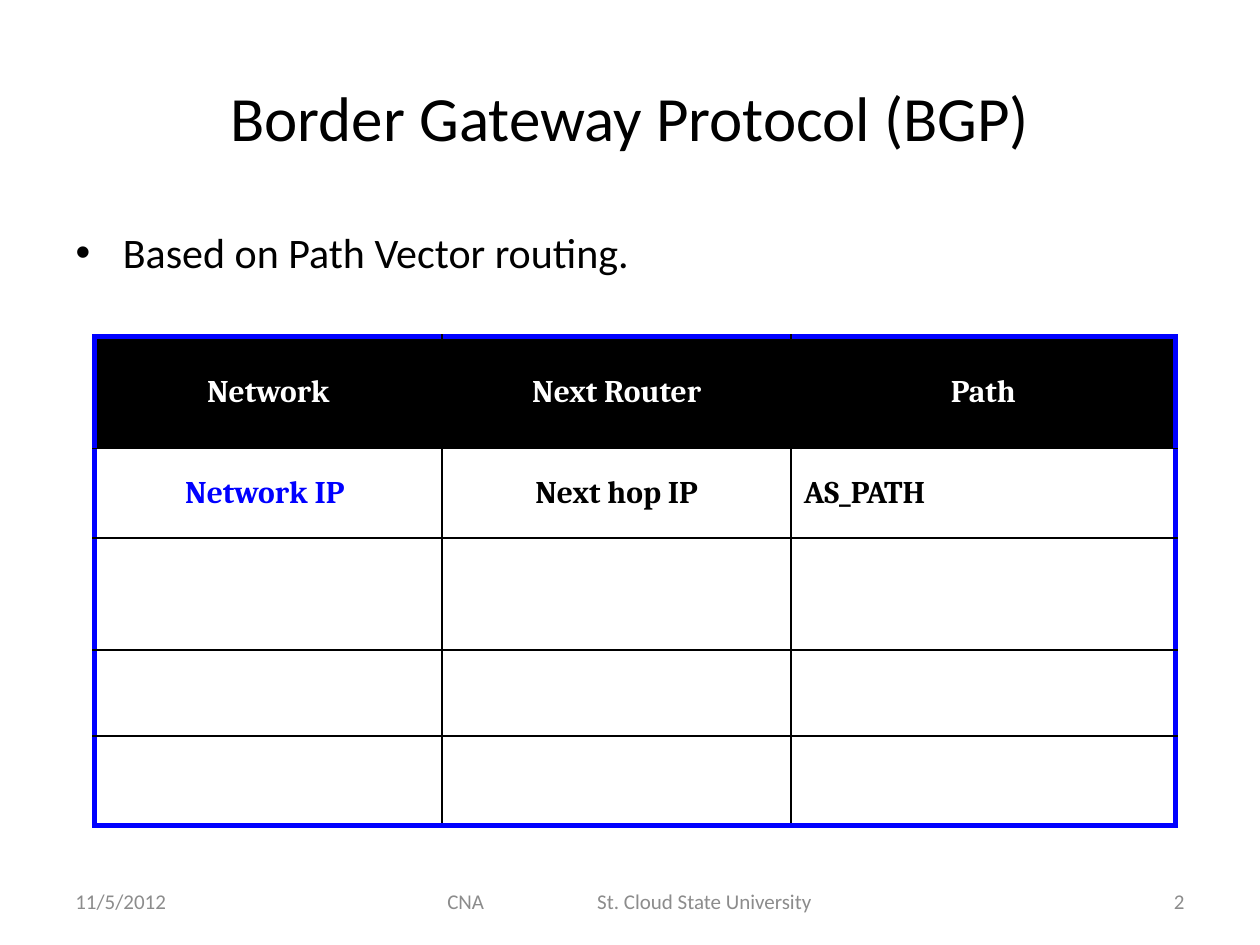
from dataclasses import dataclass

import pptx
import pptx.dml.color
import pptx.enum.text
import pptx.oxml.ns
import pptx.util
from lxml import etree

Inches = pptx.util.Inches
Pt = pptx.util.Pt
Align = pptx.enum.text.PP_ALIGN
Anchor = pptx.enum.text.MSO_ANCHOR


@dataclass(frozen=True)
class Theme:
    sans: str = "Calibri"
    serif: str = "Cambria"
    black: str = "000000"
    white: str = "FFFFFF"
    blue: str = "0000FF"
    grey: str = "8C8C8C"
    title: float = 36
    body: float = 24
    cell: float = 18
    foot: float = 12
    thin: float = 1
    thick: float = 3


@dataclass(frozen=True)
class Foot:
    text: str
    left: float
    width: float
    align: Align
    inset: float = 0.1
    tab: float = 0


@dataclass(frozen=True)
class Entry:
    text: str
    color: str
    align: Align = Align.CENTER


THEME = Theme()
FEET = (
    Foot("11/5/2012", 0.5, 2.33, Align.LEFT),
    Foot("CNA\tSt. Cloud State University", 3.42, 3.17, Align.LEFT, 0.13, 1.19),
    Foot("2", 7.17, 2.33, Align.RIGHT),
)
COLS = (2.76, 2.77, 3.05)
ROWS = (0.89, 0.71, 0.89, 0.68, 0.71)
ROUTES = (
    (
        Entry("Network", THEME.white),
        Entry("Next Router", THEME.white),
        Entry("Path", THEME.white),
    ),
    (
        Entry("Network IP ", THEME.blue),
        Entry("Next hop IP", THEME.black),
        Entry("AS_PATH", THEME.black, Align.LEFT),
    ),
)


def rgb(code: str) -> pptx.dml.color.RGBColor:
    return pptx.dml.color.RGBColor.from_string(code)


def add_run(para, text: str, face: str, size: float, color: str, bold: bool = False) -> None:
    run = para.add_run()
    run.text = text
    run.font.name = face
    run.font.size = Pt(size)
    run.font.bold = bold
    run.font.color.rgb = rgb(color)


def fill_holder(shape, box: tuple, text: str, size: float):
    shape.left, shape.top, shape.width, shape.height = map(Inches, box)
    para = shape.text_frame.paragraphs[0]
    add_run(para, text, THEME.sans, size, THEME.black)


def add_foot(slide, foot: Foot) -> None:
    box = slide.shapes.add_textbox(
        Inches(foot.left), Inches(6.95), Inches(foot.width), Inches(0.4)
    )
    frame = box.text_frame
    frame.word_wrap = True
    frame.vertical_anchor = Anchor.MIDDLE
    frame.margin_left = Inches(foot.inset)
    para = frame.paragraphs[0]
    para.alignment = foot.align
    if foot.tab:
        qn = pptx.oxml.ns.qn
        tabs = etree.SubElement(para._p.get_or_add_pPr(), qn("a:tabLst"))
        etree.SubElement(tabs, qn("a:tab"), pos=str(Inches(foot.tab)), algn="l")
    add_run(para, foot.text, THEME.sans, THEME.foot, THEME.grey)


def add_edge(cell, side: str, outer: bool) -> None:
    qn = pptx.oxml.ns.qn
    width = THEME.thick if outer else THEME.thin
    color = THEME.blue if outer else THEME.black
    props = cell._tc.get_or_add_tcPr()
    line = etree.SubElement(props, qn(f"a:ln{side}"), w=str(Pt(width)))
    solid = etree.SubElement(line, qn("a:solidFill"))
    etree.SubElement(solid, qn("a:srgbClr"), val=color)


def style_cell(cell, row: int, col: int) -> None:
    edges = {
        "L": col == 0,
        "R": col == len(COLS) - 1,
        "T": row == 0,
        "B": row == len(ROWS) - 1,
    }
    for side, outer in edges.items():
        add_edge(cell, side, outer)
    cell.fill.solid()
    cell.fill.fore_color.rgb = rgb(THEME.white if row else THEME.black)
    cell.vertical_anchor = Anchor.MIDDLE


def add_routes(slide) -> None:
    frame = slide.shapes.add_table(
        len(ROWS), len(COLS), Inches(0.75), Inches(2.67),
        Inches(sum(COLS)), Inches(sum(ROWS)),
    )
    table = frame.table
    table.first_row = False
    table.horz_banding = False
    for col, width in zip(table.columns, COLS):
        col.width = Inches(width)
    for row, height in zip(table.rows, ROWS):
        row.height = Inches(height)
    for row in range(len(ROWS)):
        for col in range(len(COLS)):
            style_cell(table.cell(row, col), row, col)
    for row, line in enumerate(ROUTES):
        for col, entry in enumerate(line):
            para = table.cell(row, col).text_frame.paragraphs[0]
            para.alignment = entry.align
            para.space_before = Pt(THEME.cell * 0.2)
            add_run(para, entry.text, THEME.serif, THEME.cell, entry.color, True)


def main() -> None:
    deck = pptx.Presentation()
    deck.slide_width, deck.slide_height = Inches(10), Inches(7.5)
    slide = deck.slides.add_slide(deck.slide_layouts[1])
    for foot in FEET:
        add_foot(slide, foot)
    title, body = slide.placeholders
    fill_holder(title, (0.5, 0.3, 9, 1.25), "Border Gateway Protocol (BGP)", THEME.title)
    fill_holder(body, (0.5, 1.75, 9, 0.67), "Based on Path Vector routing.", THEME.body)
    add_routes(slide)
    deck.save("out.pptx")


if __name__ == "__main__":
    main()
